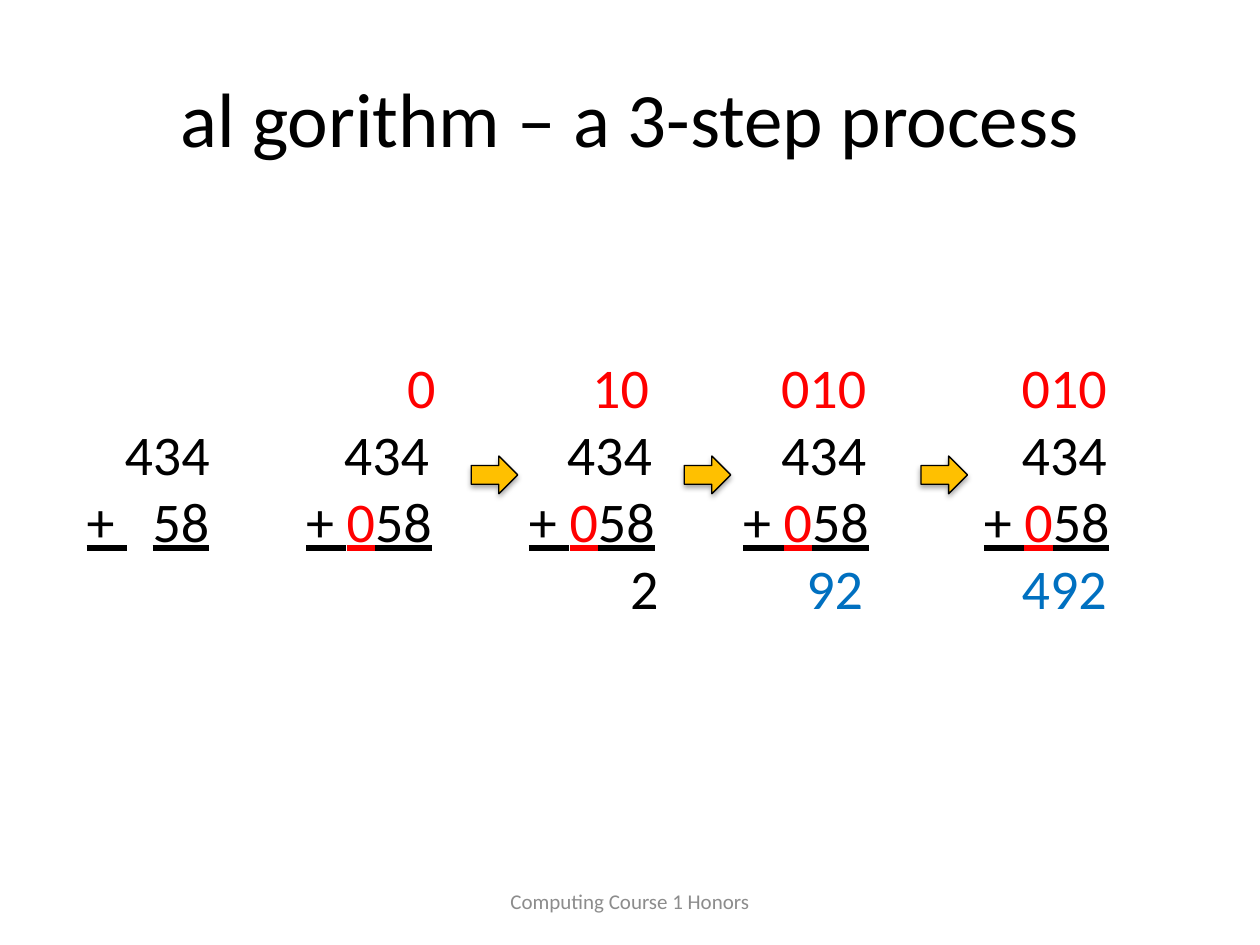
from dataclasses import dataclass

from lxml.etree import SubElement
from pptx import Presentation
from pptx.dml.color import RGBColor
from pptx.enum.shapes import MSO_SHAPE
from pptx.enum.text import MSO_ANCHOR, PP_ALIGN
from pptx.oxml.ns import qn
from pptx.util import Pt


@dataclass(frozen=True)
class Theme:
    """Colours, type sizes and text metrics of the page."""
    font: str = "Calibri"
    ink: str = "000000"
    carry: str = "FF0000"
    result: str = "0070C0"
    arrow: str = "FFC000"
    muted: str = "8C8C8C"
    title_size: float = 44
    sum_size: float = 32
    footer_size: float = 12
    line_pitch: float = 38.3
    space_width: float = 7.23
    top_inset: float = 4.2


THEME = Theme()
PADDED = (("+ ", THEME.ink), ("0", THEME.carry), ("58", THEME.ink))
UNPADDED = (("+", THEME.ink), (" ", THEME.ink, 2 * THEME.space_width), ("58", THEME.ink))


def add_span(para, text, size=THEME.sum_size, color=THEME.ink, underline=None, tracking=0):
    """Append one formatted run to a paragraph."""
    span = para.add_run()
    span.text = text
    font = span.font
    font.name, font.size, font.underline = THEME.font, Pt(size), underline
    font.color.rgb = RGBColor.from_string(color)
    if tracking:
        span._r.get_or_add_rPr().set("spc", str(round(tracking * 100)))


def add_box(page, left, top, width, height):
    """Add a wrapping text box and return its text frame."""
    frame = page.shapes.add_textbox(Pt(left), Pt(top), Pt(width), Pt(height)).text_frame
    frame.word_wrap = True
    return frame


def format_row(para, indent):
    """Set the line pitch and the indent, counted in space widths."""
    para.line_spacing = Pt(THEME.line_pitch)
    properties = para._p.get_or_add_pPr()
    properties.set("marL", str(Pt(indent * THEME.space_width)))
    properties.set("indent", "0")


def add_sum(page, left, carry=None, addend=PADDED, total=None):
    """Add one column addition with optional carry and total rows."""
    frame = add_box(page, left, 197.3, 110.9, 169.9)
    frame.margin_top = Pt(THEME.top_inset if carry else THEME.top_inset + THEME.line_pitch)
    rows = [(3, (("434", THEME.ink),), None), (0, addend, True)]
    if carry:
        indent, digits = carry
        rows.insert(0, (indent, ((digits, THEME.carry),), None))
    if total:
        indent, digits, color = total
        rows.append((indent, ((digits, color),), None))
    for number, (indent, spans, underline) in enumerate(rows):
        para = frame.add_paragraph() if number else frame.paragraphs[0]
        format_row(para, indent)
        for text, color, *tracking in spans:
            add_span(para, text, color=color, underline=underline, tracking=sum(tracking))


def add_arrow(page, left):
    """Add a right arrow with a soft shadow below it."""
    arrow = page.shapes.add_shape(
        MSO_SHAPE.RIGHT_ARROW, Pt(left), Pt(260.6), Pt(26.6), Pt(21.6))
    arrow.fill.solid()
    arrow.fill.fore_color.rgb = RGBColor.from_string(THEME.arrow)
    arrow.line.color.rgb = RGBColor.from_string(THEME.ink)
    arrow.line.width = Pt(0.75)
    arrow.shadow.inherit = False
    effects = arrow._element.spPr.find(qn("a:effectLst"))
    shadow = SubElement(effects, qn("a:outerShdw"), blurRad=str(Pt(3.1)),
                        dist=str(Pt(1.8)), dir="5400000", rotWithShape="0")
    color = SubElement(shadow, qn("a:srgbClr"), val=THEME.ink)
    SubElement(color, qn("a:alpha"), val="35000")


def add_title(page, text):
    """Place and format the title."""
    title = page.shapes.title
    title.left, title.top, title.width, title.height = Pt(36), Pt(21.6), Pt(648), Pt(90)
    title.text_frame.vertical_anchor = MSO_ANCHOR.MIDDLE
    para = title.text_frame.paragraphs[0]
    para.alignment = PP_ALIGN.CENTER
    add_span(para, text, size=THEME.title_size)


def add_footer(page, text):
    """Add the centred footer."""
    frame = add_box(page, 246, 500.5, 228, 28.8)
    frame.vertical_anchor = MSO_ANCHOR.MIDDLE
    para = frame.paragraphs[0]
    para.alignment = PP_ALIGN.CENTER
    add_span(para, text, size=THEME.footer_size, color=THEME.muted)


def main():
    """Build the slide and save the deck."""
    deck = Presentation()
    deck.slide_width, deck.slide_height = Pt(720), Pt(540)
    page = deck.slides.add_slide(deck.slide_layouts[5])
    add_title(page, "al gorithm – a 3-step process")
    add_sum(page, 42.5, addend=UNPADDED)
    add_sum(page, 167.8, carry=(8, "0"))
    add_sum(page, 295.2, carry=(5, "10"), total=(8, "2", THEME.ink))
    add_sum(page, 417.6, carry=(3, "010"), total=(5, "92", THEME.result))
    add_sum(page, 555.1, carry=(3, "010"), total=(3, "492", THEME.result))
    for left in (269.3, 391, 526.3):
        add_arrow(page, left)
    add_footer(page, "Computing Course 1 Honors")
    deck.save("out.pptx")


if __name__ == "__main__":
    main()
